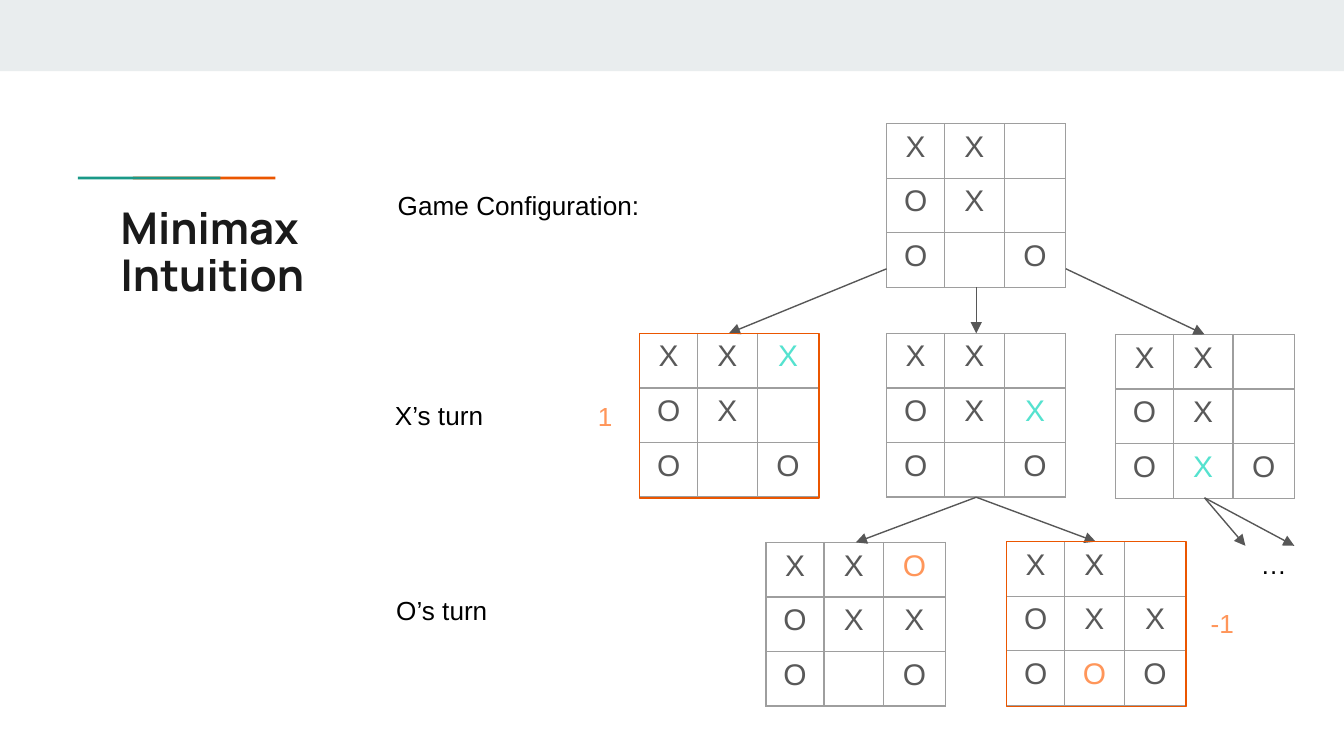
from lxml.etree import SubElement
from pptx import Presentation
from pptx.dml.color import RGBColor
from pptx.enum.shapes import MSO_CONNECTOR as Connector, MSO_SHAPE as Shape
from pptx.enum.text import MSO_AUTO_SIZE as AutoSize, PP_ALIGN as Align
from pptx.oxml import parse_xml
from pptx.oxml.ns import nsdecls, qn
from pptx.util import Pt

BAND = RGBColor(0xE9, 0xED, 0xEE)
ORANGE = RGBColor(0xEB, 0x56, 0x00)
GREEN = RGBColor(0x1A, 0x99, 0x88)
INK = RGBColor(0x1A, 0x1A, 0x1A)
BLACK = RGBColor(0x00, 0x00, 0x00)
MARK = RGBColor(0x59, 0x59, 0x59)
ARROW = RGBColor(0x57, 0x57, 0x57)
X_MOVE = RGBColor(0x55, 0xE2, 0xCF)
O_MOVE = RGBColor(0xFF, 0x96, 0x5A)
GRID = RGBColor(0x9E, 0x9E, 0x9E)

prs = Presentation()
prs.slide_width, prs.slide_height = Pt(720), Pt(405)
slide = prs.slides.add_slide(prs.slide_layouts[6])
shapes = slide.shapes


def add_rect(left, top, width, height, fill=None, line=None):
    rect = shapes.add_shape(Shape.RECTANGLE, Pt(left), Pt(top), Pt(width), Pt(height))
    rect.shadow.inherit = False
    if fill is None:
        rect.fill.background()
    else:
        rect.fill.solid()
        rect.fill.fore_color.rgb = fill
    if line is None:
        rect.line.fill.background()
    else:
        rect.line.color.rgb = line
        rect.line.width = Pt(0.75)


def add_run(paragraph, text, size, color, font="Arial", bold=False):
    run = paragraph.add_run()
    run.text = text
    run.font.size = Pt(size)
    run.font.name = font
    run.font.bold = bold
    run.font.color.rgb = color


add_rect(0, 0, 720, 38.2, BAND)
add_rect(71.2, 94.6, 76.3, 1.6, ORANGE)
add_rect(41.8, 94.6, 76.3, 1.6, GREEN)

title = shapes.add_textbox(Pt(57.6), Pt(103.7), Pt(203), Pt(42.5)).text_frame
title.word_wrap = True
title.margin_left = title.margin_right = title.margin_top = title.margin_bottom = Pt(7.2)
title.paragraphs[0].line_spacing = 0.9
add_run(title.paragraphs[0], "Minimax Intuition", 23.4, INK, "Manrope", True)

COLUMNS = (31, 32, 33)
ROW = 29.25
boards = [
    (475, 66.3, ("XX ", "OX ", "O O"), None),
    (342.7, 178.6, ("XXX", "OX ", "O O"), (0, 2)),
    (475, 178.6, ("XX ", "OXX", "O O"), (1, 2)),
    (597.6, 179.2, ("XX ", "OX ", "OXO"), (2, 1)),
    (410.4, 290.6, ("XXO", "OXX", "O O"), (0, 2)),
    (539.3, 290.2, ("XX ", "OXX", "OOO"), (2, 1)),
]
for left, top, position, move in boards:
    frame = shapes.add_table(3, 3, Pt(left), Pt(top), Pt(sum(COLUMNS)), Pt(3 * ROW))
    board = frame.table
    board.first_row = board.horz_banding = False
    for column, width in zip(board.columns, COLUMNS):
        column.width = Pt(width)
    for r, marks in enumerate(position):
        board.rows[r].height = Pt(ROW)
        for c, mark in enumerate(marks):
            cell = board.cell(r, c)
            cell.fill.background()
            cell_props = cell._tc.get_or_add_tcPr()
            for i, side in enumerate(("lnL", "lnR", "lnT", "lnB")):
                cell_props.insert(i, parse_xml(
                    f'<a:{side} {nsdecls("a")} w="{Pt(0.75)}"><a:solidFill>'
                    f'<a:srgbClr val="{GRID}"/></a:solidFill></a:{side}>'))
            if mark != " ":
                color = MARK
                if (r, c) == move:
                    color = X_MOVE if mark == "X" else O_MOVE
                paragraph = cell.text_frame.paragraphs[0]
                paragraph.alignment = Align.CENTER
                add_run(paragraph, mark, 16, color)

arrows = [
    (475, 144, 390.5, 178.6),
    (571, 144, 645.3, 179.2),
    (523, 154, 523, 178.6),
    (523, 266.4, 458.5, 290.6),
    (523, 266.4, 587, 290.2),
    (645.3, 266.7, 667.2, 292.4),
    (645.3, 266.7, 693.4, 292.4),
]
for ends in arrows:
    arrow = shapes.add_connector(Connector.STRAIGHT, *map(Pt, ends))
    arrow.line.color.rgb = ARROW
    arrow.line.width = Pt(0.75)
    SubElement(arrow.line._get_or_add_ln(), qn("a:tailEnd"), type="triangle")
    SubElement(arrow._element.spPr, qn("a:effectLst"))

for left, top in ((342.7, 178.6), (539.3, 290.2)):
    add_rect(left, top, 96, 88.2, line=ORANGE)

labels = [
    ("…", 668.2, 290.2, 28.8, BLACK),
    ("X’s turn", 204.5, 210.5, 62.6, BLACK),
    ("O’s turn", 205.2, 314.9, 64, BLACK),
    ("Game Configuration:", 206, 98, 144.7, BLACK),
    ("1", 313.2, 211, 22.3, O_MOVE),
    ("-1", 641.5, 321.8, 27.4, O_MOVE),
]
for text, left, top, width, color in labels:
    label = shapes.add_textbox(Pt(left), Pt(top), Pt(width), Pt(24.3)).text_frame
    label.word_wrap = text == "…"
    label.auto_size = AutoSize.SHAPE_TO_FIT_TEXT
    add_run(label.paragraphs[0], text, 14, color)

prs.save("out.pptx")
